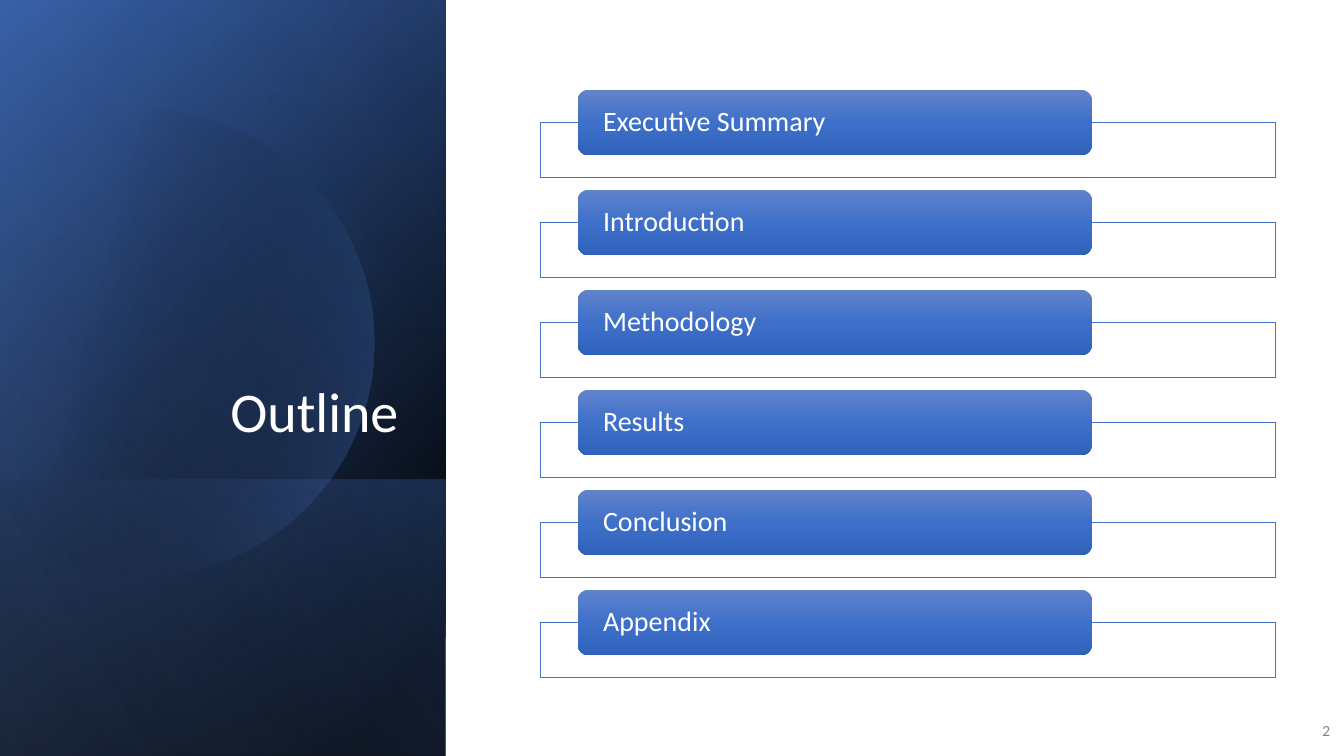
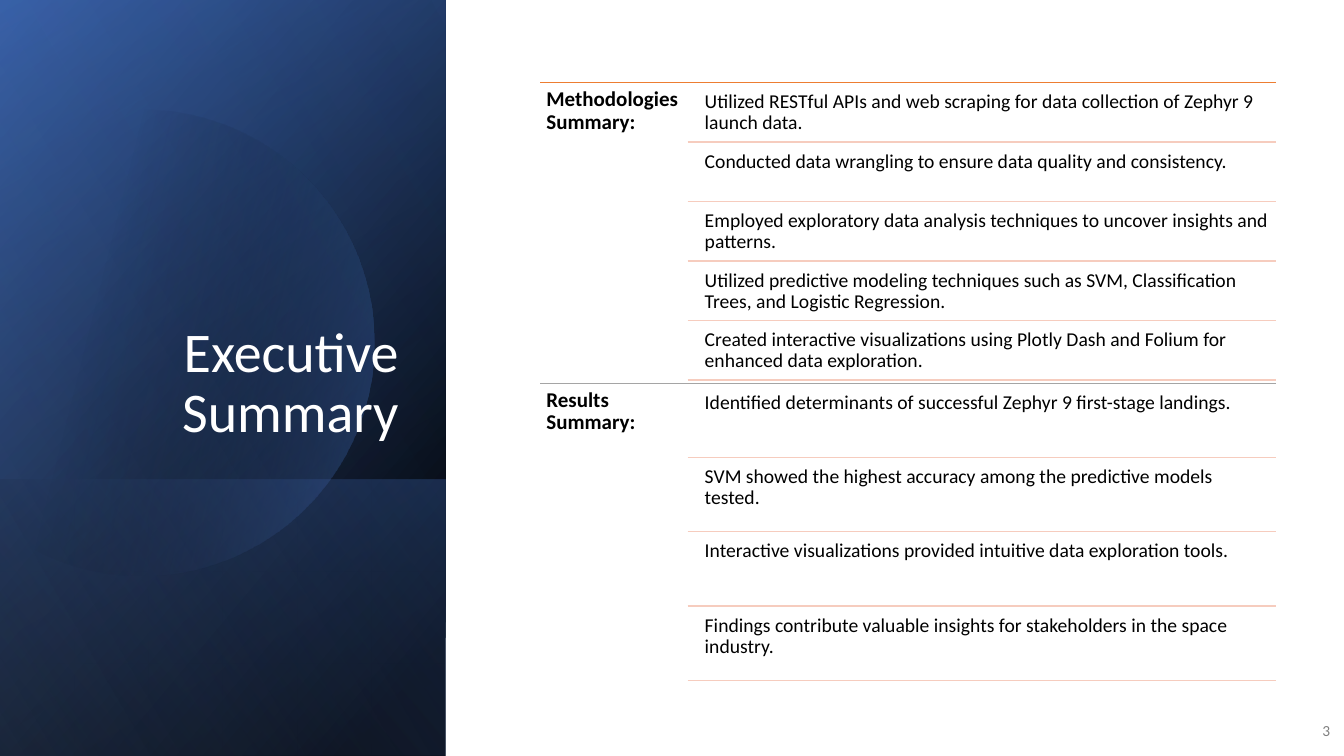
from math import acos, cos, sin

from pptx import Presentation
from pptx.dml.color import RGBColor
from pptx.enum.shapes import MSO_CONNECTOR, MSO_SHAPE
from pptx.enum.text import MSO_ANCHOR, PP_ALIGN
from pptx.oxml import parse_xml
from pptx.oxml.ns import nsdecls
from pptx.util import Inches, Pt

COLORS = {
    "white": "FFFFFF",
    "black": "000000",
    "accent": "4472C4",
    "navy": "2F5597",
    "haze": "8FAADC",
    "pill_top": "6183CB",
    "pill_middle": "3E70CA",
    "pill_bottom": "3062BB",
    "orange": "ED7D31",
    "grey": "A5A5A5",
    "row_rule": "F6CCBE",
    "page_number": "808080",
}
FONT = "Calibri"
BAND_WIDTH, SLIDE_HEIGHT = 4.42, 7.5
LEFT, RIGHT = 5.36, 12.66
INSET = (0.06, 0.06, 0.06, 0.06)

TOPICS = ["Executive Summary", "Introduction", "Methodology",
          "Results", "Conclusion", "Appendix"]

SECTIONS = [
    ("Methodologies Summary:", "orange", [
        "Utilized RESTful APIs and web scraping for data collection of Zephyr 9 launch data.",
        "Conducted data wrangling to ensure data quality and consistency.",
        "Employed exploratory data analysis techniques to uncover insights and patterns.",
        "Utilized predictive modeling techniques such as SVM, Classification Trees, "
        "and Logistic Regression.",
        "Created interactive visualizations using Plotly Dash and Folium for enhanced "
        "data exploration.",
    ]),
    ("Results Summary:", "grey", [
        "Identified determinants of successful Zephyr 9 first-stage landings.",
        "SVM showed the highest accuracy among the predictive models tested.",
        "Interactive visualizations provided intuitive data exploration tools.",
        "Findings contribute valuable insights for stakeholders in the space industry.",
    ]),
]


def rgb(color):
    return RGBColor.from_string(COLORS[color])


class Deck:
    def __init__(self):
        self.presentation = Presentation()
        self.presentation.slide_width = Inches(13.33)
        self.presentation.slide_height = Inches(SLIDE_HEIGHT)
        self.slide = None

    def add_slide(self, title, number):
        self.slide = self.presentation.slides.add_slide(self.presentation.slide_layouts[6])
        self.panel(0, SLIDE_HEIGHT, [(8, "black", 100), (100, "navy", 100)], 50)
        self.panel(0, SLIDE_HEIGHT, [(0, "black", 0), (99, "accent", 46)], 30)
        self.panel(4.76, 2.74, [(2, "accent", 29), (100, "black", 30)], 130)
        self.disc(1.4, 3.4, 2.31)
        self.panel(0, SLIDE_HEIGHT, [(0, "black", 0), (99, "haze", 11)], 120)
        self.text(title, 0.64, 1.84, 3.41, 2.62, 40, "white",
                  align=PP_ALIGN.RIGHT, anchor=MSO_ANCHOR.BOTTOM)
        self.text(str(number), 12.8, 7.06, 0.49, 0.4, 11, "page_number",
                  align=PP_ALIGN.RIGHT, anchor=MSO_ANCHOR.MIDDLE)

    def gradient(self, shape, stops, angle):
        stop_xml = "".join(
            f'<a:gs pos="{position * 1000}"><a:srgbClr val="{COLORS[color]}">'
            f'<a:alpha val="{opacity * 1000}"/></a:srgbClr></a:gs>'
            for position, color, opacity in stops)
        shape.fill.background()
        properties = shape._element.spPr
        properties.replace(
            properties.find("{*}noFill"),
            parse_xml(f'<a:gradFill {nsdecls("a")} rotWithShape="1"><a:gsLst>{stop_xml}</a:gsLst>'
                      f'<a:lin ang="{angle * 60000}" scaled="0"/></a:gradFill>'))
        shape.line.fill.background()
        shape.shadow.inherit = False

    def box(self, preset, left, top, width, height):
        shape = self.slide.shapes.add_shape(
            preset, Inches(left), Inches(top), Inches(width), Inches(height))
        shape.shadow.inherit = False
        return shape

    def panel(self, top, height, stops, angle):
        panel = self.box(MSO_SHAPE.RECTANGLE, (BAND_WIDTH - height) / 2,
                         top + (height - BAND_WIDTH) / 2, height, BAND_WIDTH)
        panel.rotation = 90
        panel._element.spPr.xfrm.set("flipH", "1")
        self.gradient(panel, stops, angle)

    def disc(self, center_x, center_y, radius, steps=90):
        edge = acos(-center_x / radius)
        angles = [edge * (2 * step / steps - 1) for step in range(steps + 1)]
        points = [(Inches(center_x + radius * cos(angle)), Inches(center_y + radius * sin(angle)))
                  for angle in angles]
        builder = self.slide.shapes.build_freeform(*points[0])
        builder.add_line_segments(points[1:], close=True)
        self.gradient(builder.convert_to_shape(),
                      [(29, "black", 0), (100, "accent", 43)], 14)

    def fill_text(self, frame, content, size, color, bold=False, align=PP_ALIGN.LEFT,
                  anchor=MSO_ANCHOR.TOP, inset=(0.1, 0.05, 0.1, 0.05)):
        frame.word_wrap = True
        frame.vertical_anchor = anchor
        (frame.margin_left, frame.margin_top,
         frame.margin_right, frame.margin_bottom) = map(Inches, inset)
        frame.text = content
        paragraph = frame.paragraphs[0]
        paragraph.alignment = align
        paragraph.line_spacing = 0.9
        font = paragraph.runs[0].font
        font.name, font.size, font.bold = FONT, Pt(size), bold
        font.color.rgb = rgb(color)

    def text(self, content, left, top, width, height, size, color, **style):
        textbox = self.slide.shapes.add_textbox(
            Inches(left), Inches(top), Inches(width), Inches(height))
        self.fill_text(textbox.text_frame, content, size, color, **style)

    def rule(self, left, y, color, weight):
        rule = self.slide.shapes.add_connector(
            MSO_CONNECTOR.STRAIGHT, Inches(left), Inches(y), Inches(RIGHT), Inches(y))
        rule.line.color.rgb = rgb(color)
        rule.line.width = Pt(weight)
        rule._element.spPr.append(parse_xml(f'<a:effectLst {nsdecls("a")}/>'))

    def topic(self, label, top):
        frame = self.box(MSO_SHAPE.RECTANGLE, LEFT, top + 0.32, 7.29, 0.55)
        frame.fill.solid()
        frame.fill.fore_color.rgb = rgb("white")
        frame.line.color.rgb = rgb("accent")
        frame.line.width = Pt(0.5)
        pill = self.box(MSO_SHAPE.ROUNDED_RECTANGLE, 5.73, top, 5.1, 0.65)
        self.gradient(pill, [(0, "pill_top", 100), (50, "pill_middle", 100),
                             (100, "pill_bottom", 100)], 90)
        self.fill_text(pill.text_frame, label, 20, "white",
                       anchor=MSO_ANCHOR.MIDDLE, inset=(0.22, 0, 0.22, 0))

    def section(self, heading, color, findings, top, height):
        gap, row_left = 0.03, 6.82
        pitch = (height - gap) / len(findings)
        self.rule(LEFT, top, color, 0.5)
        self.text(heading, LEFT, top, row_left - LEFT, height, 15, "black",
                  bold=True, inset=INSET)
        for index, finding in enumerate(findings):
            row_top = top + index * pitch
            self.text(finding, 6.93, row_top + gap, 5.72, pitch - gap, 14, "black", inset=INSET)
            self.rule(row_left, row_top + pitch, "row_rule", 1)


def main():
    deck = Deck()
    deck.add_slide("Outline", 2)
    first_top, last_top = 0.89, 5.85
    topic_pitch = (last_top - first_top) / (len(TOPICS) - 1)
    for index, label in enumerate(TOPICS):
        deck.topic(label, first_top + index * topic_pitch)

    deck.add_slide("Executive Summary", 3)
    section_height = 2.98
    for index, (heading, color, findings) in enumerate(SECTIONS):
        deck.section(heading, color, findings, 0.82 + index * section_height, section_height)

    deck.presentation.save("out.pptx")


if __name__ == "__main__":
    main()
